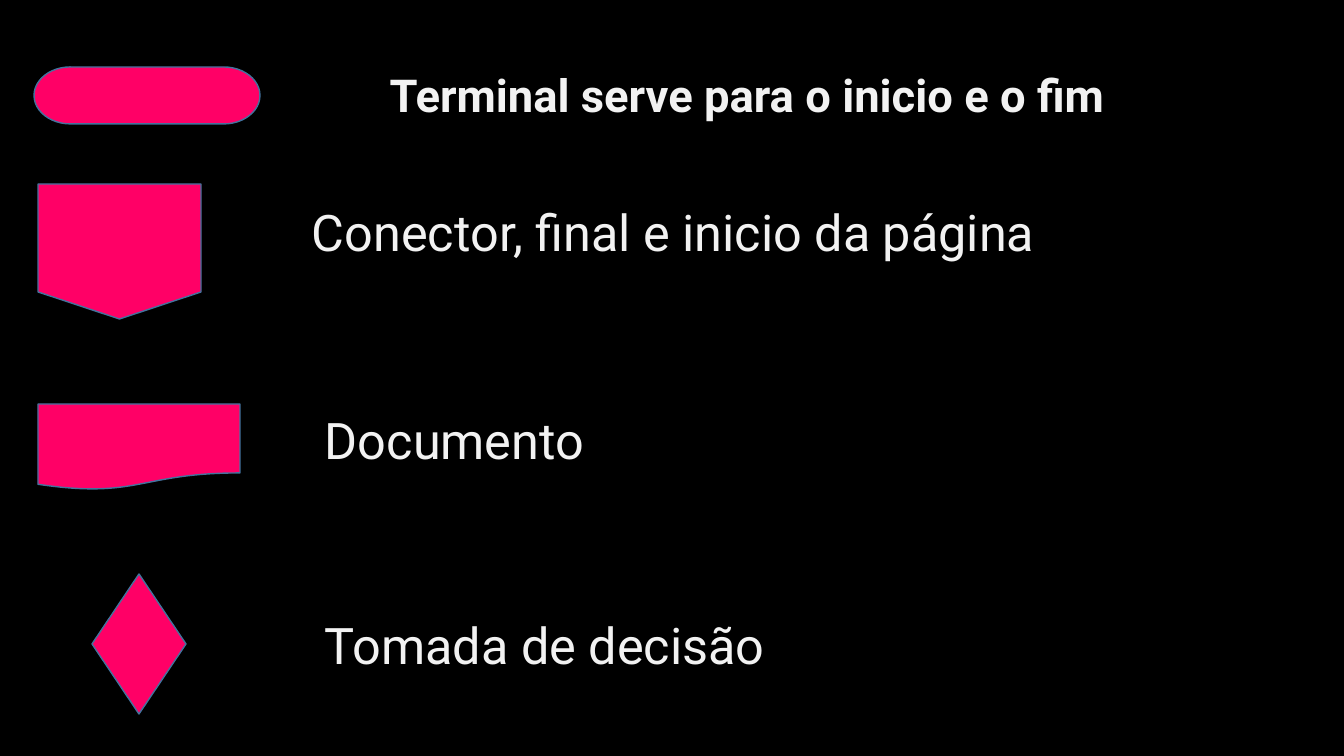
from pptx import Presentation
from pptx import util as u
from pptx.dml.color import RGBColor
from pptx.enum import shapes, text

BLACK = RGBColor(0x00, 0x00, 0x00)
PINK = RGBColor(0xFF, 0x00, 0x66)
BLUE = RGBColor(0x43, 0x73, 0x9E)
LIGHT = RGBColor(0xF2, 0xF2, 0xF2)
FONT = "Roboto"

# Content: boxes are left, top, width, height in pixels
TITLE = ("Terminal serve para o inicio e o fim", (274, 40, 946, 87))
KIND = shapes.MSO_SHAPE
SYMBOLS = [
    (KIND.FLOWCHART_TERMINATOR, (34, 67, 226, 57)),
    (KIND.FLOWCHART_OFFPAGE_CONNECTOR, (38, 184, 163, 135)),
    (KIND.FLOWCHART_DOCUMENT, (38, 404, 202, 86)),
    (KIND.FLOWCHART_DECISION, (92, 574, 94, 140)),
]
MEANINGS = [
    ("Conector, final e inicio da página", (302, 196, 927, 71)),
    ("Documento", (315, 404, 337, 71)),
    ("Tomada de decisão", (315, 609, 551, 71)),
]

PX = u.Inches(1) / 100.8


def emu(box):
    return [round(length * PX) for length in box]


def write(frame, words, size=36, bold=False, align=text.PP_ALIGN.LEFT,
          anchor=text.MSO_ANCHOR.TOP, spacing=1.0):
    frame.word_wrap = True
    frame.auto_size = text.MSO_AUTO_SIZE.NONE
    frame.vertical_anchor = anchor
    paragraph = frame.paragraphs[0]
    paragraph.alignment = align
    paragraph.line_spacing = spacing
    run = paragraph.add_run()
    run.text = words
    run.font.name = FONT
    run.font.size = u.Pt(size)
    run.font.bold = bold
    run.font.color.rgb = LIGHT


deck = Presentation()
deck.slide_width, deck.slide_height = emu((1344, 756))
slide = deck.slides.add_slide(deck.slide_layouts[5])
slide.background.fill.solid()
slide.background.fill.fore_color.rgb = BLACK

# Title
title = slide.shapes.title
words, box = TITLE
title.left, title.top, title.width, title.height = emu(box)
write(title.text_frame, words, size=32.4, bold=True, spacing=0.9,
      align=text.PP_ALIGN.CENTER, anchor=text.MSO_ANCHOR.BOTTOM)

# Flowchart symbols
for kind, box in SYMBOLS:
    symbol = slide.shapes.add_shape(kind, *emu(box))
    symbol.shadow.inherit = False
    symbol.fill.solid()
    symbol.fill.fore_color.rgb = PINK
    symbol.line.color.rgb = BLUE
    symbol.line.width = u.Pt(1)

# Meaning of each symbol
for words, box in MEANINGS:
    meaning = slide.shapes.add_textbox(*emu(box))
    write(meaning.text_frame, words)

deck.save("out.pptx")
